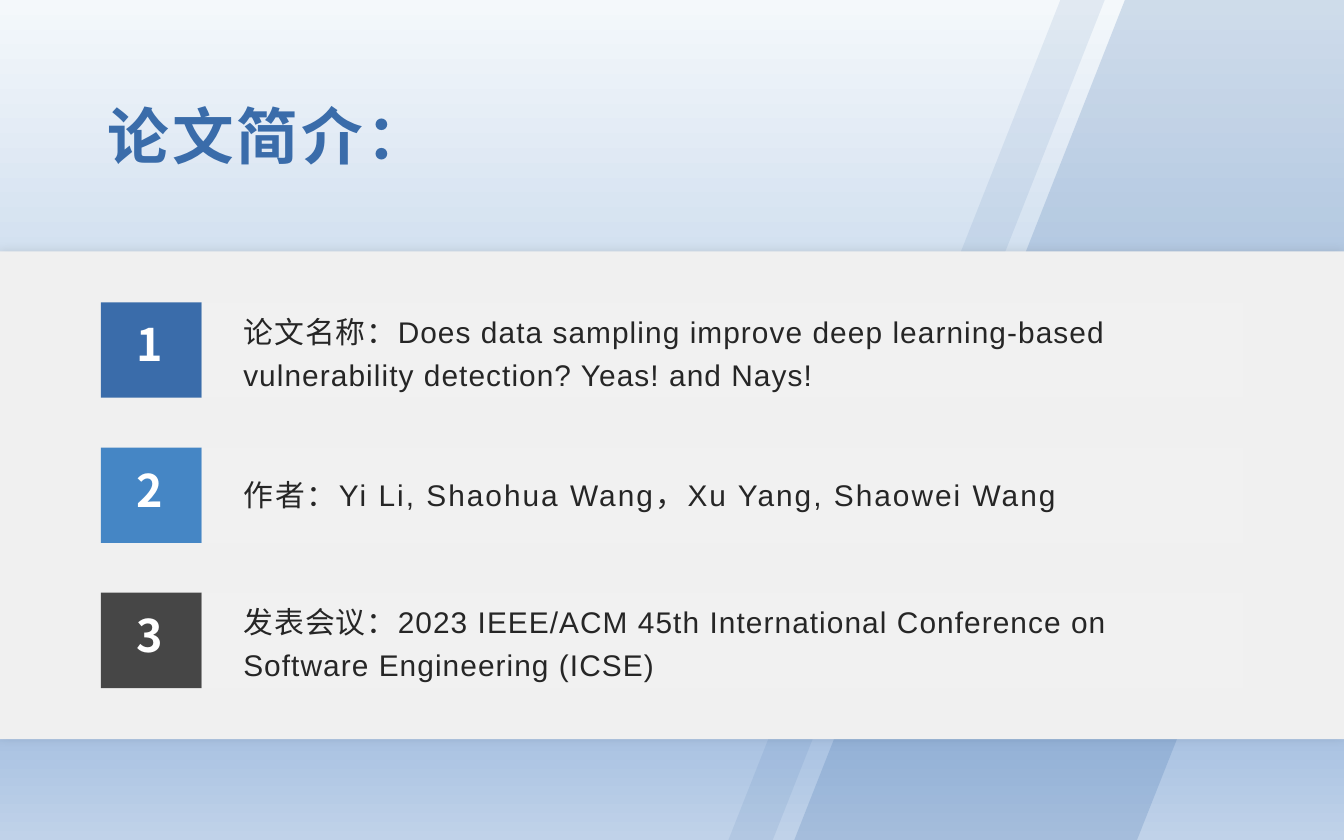
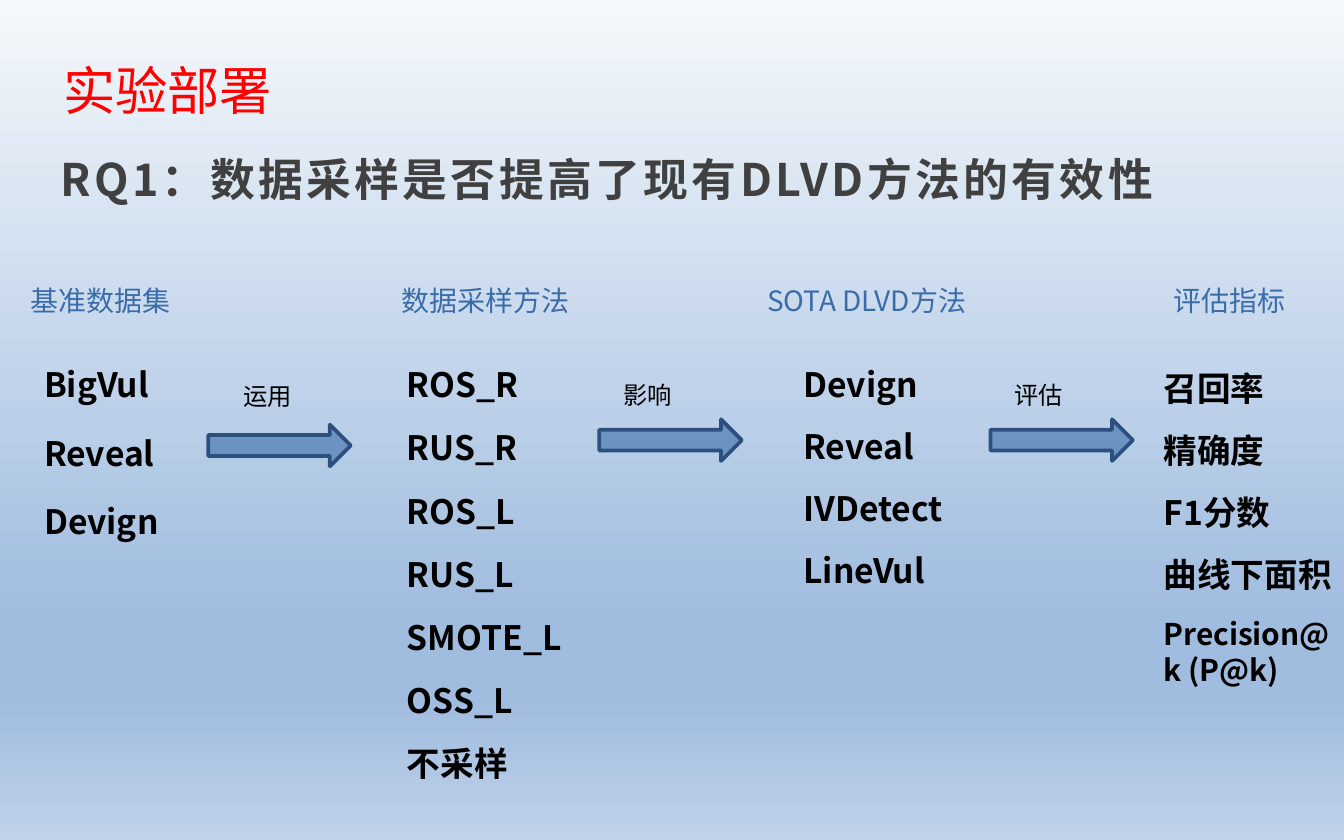
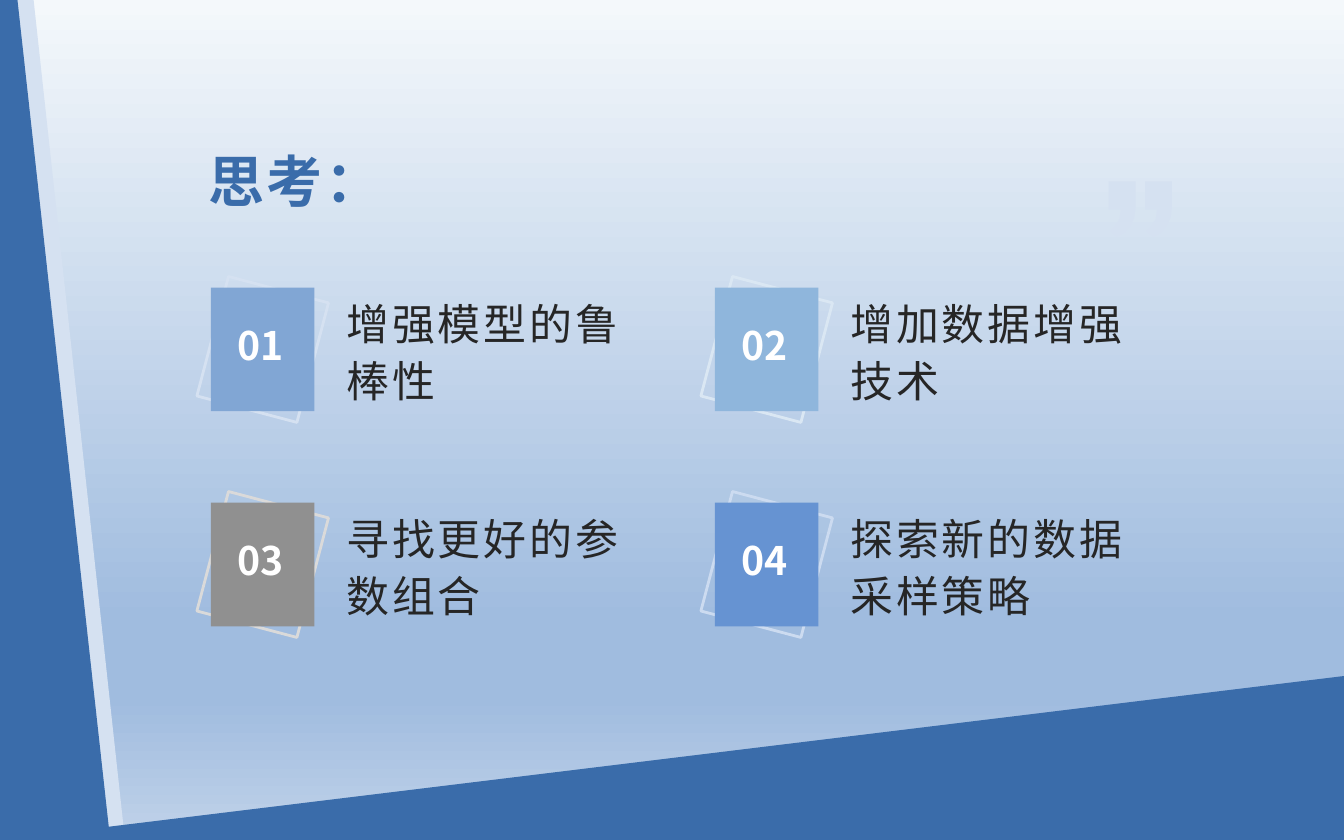
from lxml.etree import SubElement as Sub
from pptx import Presentation
from pptx.dml.color import RGBColor as Rgb
from pptx.enum.shapes import MSO_SHAPE as Kind
from pptx.enum.text import MSO_ANCHOR as Anchor, MSO_AUTO_SIZE as Fit, PP_ALIGN as Align
from pptx.oxml.ns import qn
from pptx.util import Pt

SCALE = 9144
WIDE, HIGH = 1000, 625
BLUE, PALE, INK = "3A6CAA", "D5E1F1", "262626"
WHITE, BLACK = "FFFFFF", "000000"
HAN = "Noto Sans CJK SC"
STOPS = [(0, "F4F8FB"), (74, "A0BCDF"), (83, "A0BCDF"), (100, "C0D2E9")]
SLIM = (5, 2, 5, 2)


def px(*nums):
    return [num * SCALE for num in nums]


def hue(code):
    return Rgb.from_string(code)


class Deck:
    """Holds the shared style and the current slide."""

    def __init__(self):
        self.show = Presentation()
        self.show.slide_width, self.show.slide_height = px(WIDE, HIGH)
        self.slide = None
        self.shade()

    def shade(self):
        master = self.show.slide_master
        fill = master.background.fill
        fill.gradient()
        fill.gradient_angle = 270
        stops = master.element.find(".//" + qn("a:gsLst"))
        for old in list(stops):
            stops.remove(old)
        for spot, code in STOPS:
            stop = Sub(stops, qn("a:gs"), pos=str(spot * 1000))
            Sub(stop, qn("a:srgbClr"), val=code)

    def page(self, title, box, size, **look):
        self.slide = self.show.slides.add_slide(self.show.slide_layouts[5])
        head = self.slide.shapes.title
        head.left, head.top, head.width, head.height = px(*box)
        self.label(head, title, size, **look)

    def label(self, shape, words, size, code=BLACK, face=HAN, bold=False, gap=0,
              line=None, after=0, anchor=Anchor.TOP, pad=(10, 5, 10, 5), wrap=True):
        frame = shape.text_frame
        frame.text = words
        frame.auto_size = Fit.NONE
        frame.word_wrap = wrap
        frame.vertical_anchor = anchor
        (frame.margin_left, frame.margin_top,
         frame.margin_right, frame.margin_bottom) = px(*pad)
        para = frame.paragraphs[0]
        para.alignment = Align.LEFT
        para.space_after = Pt(after)
        if line:
            para.line_spacing = line
        font = para.runs[0].font
        font.name, font.size, font.bold = face, Pt(size), bold
        font.color.rgb = hue(code)
        props = shape.element.find(".//" + qn("a:rPr"))
        Sub(props, qn("a:ea"), typeface=HAN)
        if gap:
            props.set("spc", str(round(gap * 100)))

    def text(self, words, box, size, **look):
        self.label(self.slide.shapes.add_textbox(*px(*box)), words, size, **look)

    def paint(self, shape, code, alpha=100, edge=None, width=1):
        shape.shadow.inherit = False
        if code:
            shape.fill.solid()
            shape.fill.fore_color.rgb = hue(code)
        else:
            shape.fill.background()
        if alpha < 100:
            tint = shape.element.spPr.find(".//" + qn("a:srgbClr"))
            Sub(tint, qn("a:alpha"), val=str(alpha * 1000))
        if edge:
            shape.line.color.rgb = hue(edge)
            shape.line.width = Pt(width)
        else:
            shape.line.fill.background()
        return shape

    def shape(self, box, code, kind=Kind.RECTANGLE, turn=0, **look):
        item = self.slide.shapes.add_shape(kind, *px(*box))
        item.rotation = turn
        return self.paint(item, code, **look)

    def poly(self, dots, code, **look):
        pen = self.slide.shapes.build_freeform(*dots[0], scale=SCALE)
        pen.add_line_segments(dots[1:], close=True)
        self.paint(pen.convert_to_shape(), code, **look)

    def glow(self, shape, code, alpha, blur):
        group = shape.element.spPr.find(qn("a:effectLst"))
        cast = Sub(group, qn("a:outerShdw"), blurRad=str(Pt(blur)), dist="0",
                   dir="0", algn="ctr", rotWithShape="0")
        tint = Sub(cast, qn("a:srgbClr"), val=code)
        Sub(tint, qn("a:alpha"), val=str(alpha * 1000))


def intro(deck):
    deck.page("论文简介：", (75, 73, 650, 62), 33, code=BLUE, bold=True, gap=1.7,
              line=0.9, anchor=Anchor.MIDDLE, pad=SLIM)
    deck.poly([(789, 0), (822, 0), (575, HIGH), (542, HIGH)], BLUE, alpha=10)
    deck.poly([(837, 0), (WIDE, 0), (WIDE, 236), (846, HIGH), (591, HIGH)],
              BLUE, alpha=20)
    band = deck.shape((0, 187, WIDE, 363), "F0F0F0")
    deck.glow(band, "0D0D0D", 10, 5)
    rows = [
        (BLUE, "论文名称：Does data sampling improve deep learning-based "
               "vulnerability detection? Yeas! and Nays!", 0.6, 1.2),
        ("4586C5", "作者：Yi Li, Shaohua Wang，Xu Yang, Shaowei Wang", 1.1, None),
        ("464646", "发表会议：2023 IEEE/ACM 45th International Conference on "
                   "Software Engineering (ICSE)", 0.6, 1.2),
    ]
    for num, (code, words, gap, line) in enumerate(rows):
        top = 225 + 108 * num
        deck.shape((75, top, 75, 71), code)
        deck.shape((150, top, 775, 71), "F2F2F2", alpha=50)
        deck.text(words, (174, top + 4, 738, 62), 16, code=INK, face="Arial", gap=gap,
                  line=line, after=8, anchor=Anchor.MIDDLE, pad=(7, 4, 7, 4))
        deck.text(str(num + 1), (92, top + 6, 40, 58), 24, code=WHITE, bold=True)


def setup(deck):
    deck.page("实验部署", (37, 38, 304, 57), 28, code="FF0000")
    deck.text("RQ1：数据采样是否提高了现有DLVD方法的有效性", (35, 100, 858, 58), 24,
              code="404040", bold=True, gap=1.8, line=1.2, after=8)
    cols = [
        ("基准数据集", 13, 23, 266, 51, ["BigVul", "Reveal", "Devign"]),
        ("数据采样方法", 289, 293, 266, 47,
         ["ROS_R", "RUS_R", "ROS_L", "RUS_L", "SMOTE_L", "OSS_L", "不采样"]),
        ("SOTA DLVD方法", 561, 588, 266, 46,
         ["Devign", "Reveal", "IVDetect", "LineVul"]),
        ("评估指标", 863, 856, 269, 46, ["召回率", "精确度", "F1分数", "曲线下面积"]),
    ]
    for head, side, left, top, step, names in cols:
        deck.text(head, (side, 206, min(183, WIDE - side), 35), 15, code=BLUE)
        for num, name in enumerate(names):
            deck.text(name, (left, top + step * num, 150, 40), 18, bold=True)
    deck.text("Precision@k (P@k)", (856, 453, 144, 64), 16, bold=True)
    steps = [("运用", 155, 316, 171, 279), ("影响", 446, 312, 454, 278),
             ("评估", 737, 312, 745, 278)]
    for word, left, top, side, high in steps:
        deck.shape((left, top, 106, 31), BLUE, Kind.RIGHT_ARROW, alpha=60,
                   edge="2B507E", width=2)
        deck.text(word, (side, high, 82, 32), 13)


def ideas(deck):
    deck.page("思考：", (150, 105, 650, 58), 30, code=BLUE, bold=True, gap=1.4,
              anchor=Anchor.MIDDLE, pad=SLIM)
    deck.poly([(12, 0), (25, 0), (93, HIGH), (12, HIGH)], PALE)
    wedge = deck.shape((0, 503, WIDE, 122), BLUE, Kind.RIGHT_TRIANGLE)
    wedge.element.spPr.find(qn("a:xfrm")).set("flipH", "1")
    mark = [(0, 0), (20, 0), (20, 19), (19, 27), (16, 33), (12, 38), (6, 41),
            (1, 37), (5, 33), (8, 28), (9, 21), (0, 21)]
    for left in (852, 825):
        deck.poly([(left + x, 135 + y) for x, y in mark], PALE)
    deck.poly([(0, 0), (13, 0), (82, HIGH), (0, HIGH)], BLUE)
    cards = [("增强模型的鲁棒性", "81A6D4", PALE), ("增加数据增强技术", "8FB6DC", "DAE7F3"),
             ("寻找更好的参数组合", "909090", "DADADA"),
             ("探索新的数据采样策略", "6693D2", "CCDBF0")]
    for num, (words, code, edge) in enumerate(cards):
        row, col = divmod(num, 2)
        left, top = 157 + 375 * col, 214 + 160 * row
        box = (left, top, 77, 92)
        deck.shape(box, None, turn=14.8, edge=edge, width=1.5)
        deck.shape(box, code)
        deck.text(f"{num + 1:02}", (left + 10, top + 20, 59, 52), 21, code=WHITE,
                  bold=True, wrap=False)
        deck.text(words, (left + 91, top - 5, 233, 102), 23, code=INK, face="Arial",
                  gap=1.5, line=1.1, after=8, anchor=Anchor.MIDDLE)


def main():
    deck = Deck()
    intro(deck)
    setup(deck)
    ideas(deck)
    deck.show.save("out.pptx")


if __name__ == "__main__":
    main()
